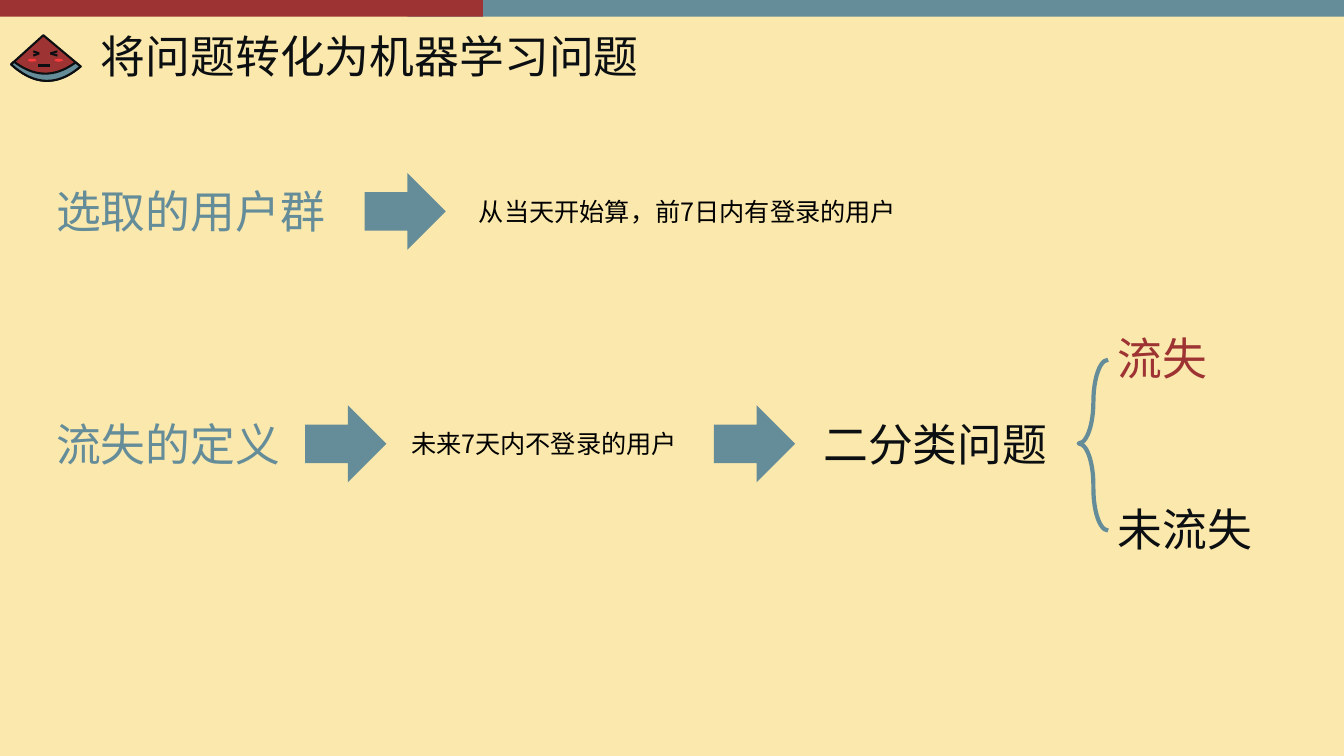
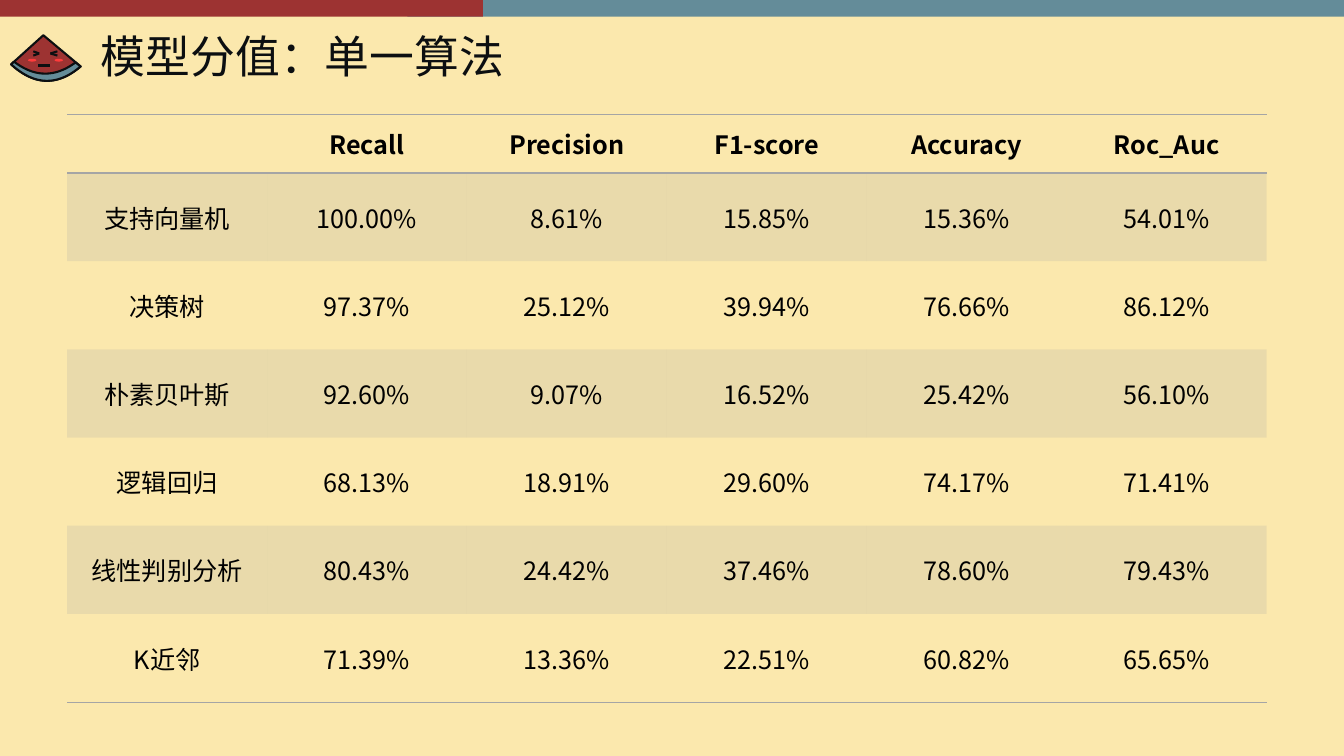
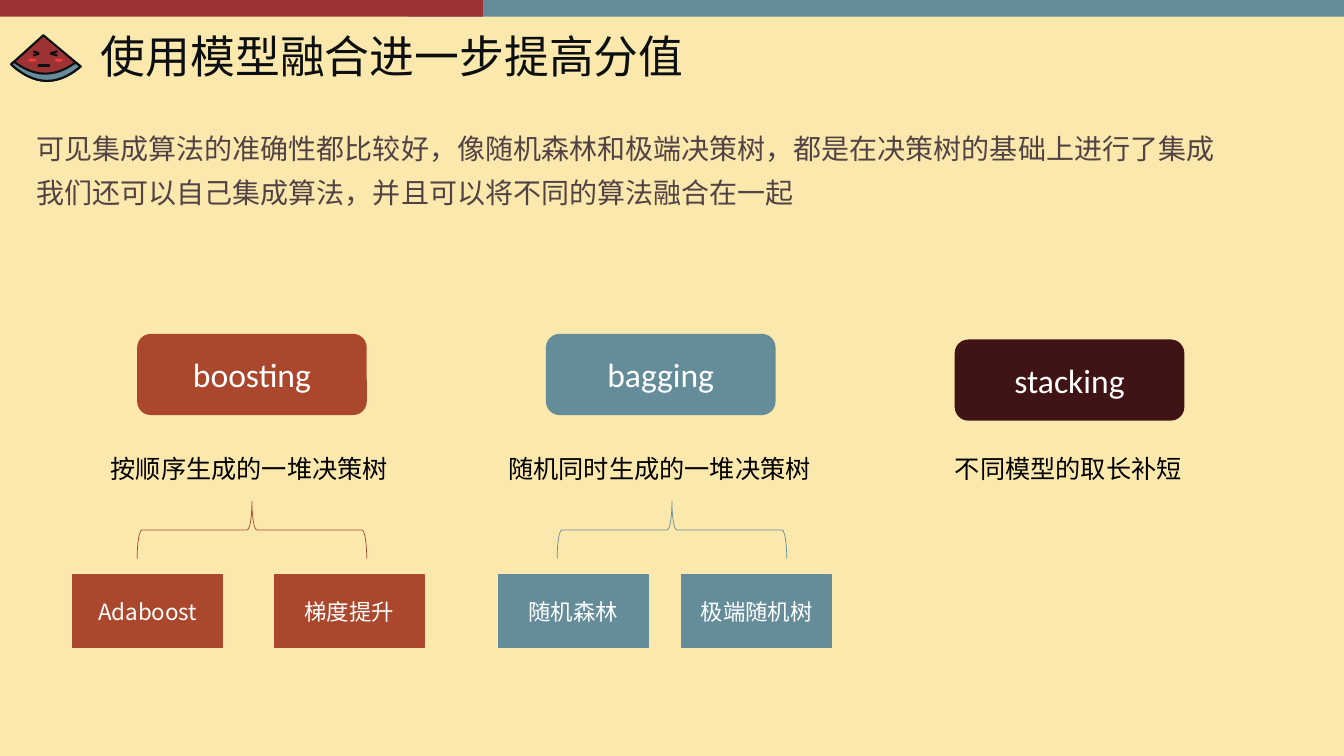
import pptx
import pptx.dml.color
import pptx.enum.shapes
import pptx.enum.text
import pptx.oxml.ns
import pptx.util
from lxml import etree

Pt = pptx.util.Pt
qn = pptx.oxml.ns.qn
SHAPES = pptx.enum.shapes.MSO_SHAPE
ALIGN = pptx.enum.text.PP_ALIGN
ANCHOR = pptx.enum.text.MSO_ANCHOR
AUTO_SIZE = pptx.enum.text.MSO_AUTO_SIZE

COLORS = {
    "background": "FBE8AD", "red": "9D3332", "blue": "648C99", "ink": "0C0F11",
    "cheek": "FF3B3B", "black": "000000", "white": "FFFFFF", "body": "514345",
    "rust": "AA472C", "maroon": "401414", "gray": "A5A5A5",
}
CJK_FONT = "Noto Sans CJK SC"
LATIN_FONT = "Calibri"
NO_STYLE_NO_GRID = "{2D5ABB26-0587-4C30-8999-92F81FD0307C}"
BIG_HEIGHT, SMALL_HEIGHT = 46, 29


def rgb(name):
    return pptx.dml.color.RGBColor.from_string(COLORS[name])


def sagging_curve(start, end, depth, steps=24):
    """Points of a parabola from start to end that hangs depth below its chord."""
    points = []
    for step in range(steps + 1):
        t = step / steps
        x = start[0] + (end[0] - start[0]) * t
        y = start[1] + (end[1] - start[1]) * t + 4 * depth * t * (1 - t)
        points.append((x, y))
    return points


class Deck:
    def __init__(self):
        self.presentation = pptx.Presentation()
        self.presentation.slide_width = Pt(960)
        self.presentation.slide_height = Pt(540)
        fill = self.presentation.slide_master.background.fill
        fill.solid()
        fill.fore_color.rgb = rgb("background")
        self.slide = None

    def new_slide(self, title):
        self.slide = self.presentation.slides.add_slide(self.presentation.slide_layouts[6])
        self.shape(SHAPES.RECTANGLE, 291, 0, 669, 12, fill="blue")
        self.shape(SHAPES.RECTANGLE, 0, 0, 345, 12, fill="red")
        self.watermelon()
        self.text([title], 65, 12, 895, 60, size=32, color="ink", grow=False,
                  anchor=ANCHOR.MIDDLE, line_spacing=0.9)

    def watermelon(self):
        rind = sagging_curve((57.6, 47.5), (8, 46), 11)
        flesh = sagging_curve((10, 44), (54, 44.6), 8.3)
        self.outline([(31, 25.2)] + rind, "red")
        self.outline(flesh + rind, "blue")
        for x in (20, 39):
            self.shape(SHAPES.OVAL, x, 42, 6, 2, fill="cheek")
        self.line(27.5, 46.8, 36, 46.8)
        for outer, inner in ((23.8, 28), (41, 36)):
            for y in (36.7, 39.7):
                self.line(outer, y, inner, 38.2)

    def finish(self, shape, fill=None, line=None, width=1.0):
        shape.shadow.inherit = False
        if fill:
            shape.fill.solid()
            shape.fill.fore_color.rgb = rgb(fill)
        else:
            shape.fill.background()
        if line:
            shape.line.color.rgb = rgb(line)
            shape.line.width = Pt(width)
        else:
            shape.line.fill.background()

    def outline(self, points, fill):
        scaled = [(Pt(x), Pt(y)) for x, y in points]
        builder = self.slide.shapes.build_freeform(*scaled[0])
        builder.add_line_segments(scaled[1:], close=True)
        self.finish(builder.convert_to_shape(), fill, "ink", 1.5)

    def line(self, x1, y1, x2, y2):
        connector = self.slide.shapes.add_connector(
            pptx.enum.shapes.MSO_CONNECTOR.STRAIGHT, Pt(x1), Pt(y1), Pt(x2), Pt(y2))
        connector.line.color.rgb = rgb("ink")
        connector.line.width = Pt(1.5)
        etree.SubElement(connector._element.spPr, qn("a:effectLst"))

    def shape(self, kind, left, top, width, height, fill=None, line=None, line_width=1.0):
        shape = self.slide.shapes.add_shape(kind, Pt(left), Pt(top), Pt(width), Pt(height))
        self.finish(shape, fill, line, line_width)
        return shape

    def box(self, kind, label, left, top, width, height, fill, size, line=None, font=CJK_FONT):
        shape = self.shape(kind, left, top, width, height, fill, line)
        shape.text_frame.vertical_anchor = ANCHOR.MIDDLE
        self.add_words(shape.text_frame.paragraphs[0], label, size, "white", font,
                       alignment=ALIGN.CENTER)

    def arrow(self, left, middle):
        self.shape(SHAPES.RIGHT_ARROW, left, middle - 27.5, 58, 55, fill="blue")

    def add_words(self, paragraph, text, size, color, font=CJK_FONT, bold=False,
                  **paragraph_format):
        for name, value in paragraph_format.items():
            setattr(paragraph, name, value)
        run = paragraph.add_run()
        run.text = text
        for name, value in {"size": Pt(size), "name": font, "bold": bold}.items():
            setattr(run.font, name, value)
        run.font.color.rgb = rgb(color)
        etree.SubElement(run.font._element, qn("a:ea"), typeface=font)

    def text(self, lines, left, top, width, height, size, color, grow=True,
             anchor=ANCHOR.TOP, gap=0, line_spacing=None):
        box = self.slide.shapes.add_textbox(Pt(left), Pt(top), Pt(width), Pt(height))
        frame = box.text_frame
        frame_format = {
            "word_wrap": True, "vertical_anchor": anchor,
            "auto_size": AUTO_SIZE.SHAPE_TO_FIT_TEXT if grow else AUTO_SIZE.NONE,
        }
        for name, value in frame_format.items():
            setattr(frame, name, value)
        for index, line in enumerate(lines):
            paragraph = frame.add_paragraph() if index else frame.paragraphs[0]
            if index and gap:
                paragraph.space_before = Pt(gap)
            self.add_words(paragraph, line, size, color, line_spacing=line_spacing)

    def heading(self, text, left, middle, width, color):
        self.text([text], left, middle - BIG_HEIGHT / 2, width, BIG_HEIGHT, 32, color)

    def detail(self, text, left, middle, width):
        self.text([text], left, middle - SMALL_HEIGHT / 2, width, SMALL_HEIGHT, 18, "black")

    def table(self, rows, left, top, column_width, header_height, row_height):
        count, columns = len(rows), len(rows[0])
        frame = self.slide.shapes.add_table(
            count, columns, Pt(left), Pt(top), Pt(column_width * columns),
            Pt(header_height + row_height * (count - 1)))
        table = frame.table
        table.first_row = table.horz_banding = False
        table._tbl.tblPr.find(qn("a:tableStyleId")).text = NO_STYLE_NO_GRID
        for column in table.columns:
            column.width = Pt(column_width)
        for row_index, values in enumerate(rows):
            table.rows[row_index].height = Pt(row_height if row_index else header_height)
            for column_index, value in enumerate(values):
                cell = table.cell(row_index, column_index)
                cell.vertical_anchor = ANCHOR.MIDDLE
                if value:
                    self.add_words(cell.text_frame.paragraphs[0], value, 18, "black",
                                   bold=row_index == 0, alignment=ALIGN.CENTER)
                self.shade(cell, row_index % 2 == 1)
                if row_index in (0, count - 1):
                    self.border(cell, "a:lnB")
                if row_index == 0:
                    self.border(cell, "a:lnT")

    def shade(self, cell, banded):
        if not banded:
            cell.fill.background()
            return
        cell.fill.solid()
        cell.fill.fore_color.rgb = rgb("gray")
        color = cell._tc.tcPr.find(".//" + qn("a:srgbClr"))
        etree.SubElement(color, qn("a:alpha"), val="20000")

    def border(self, cell, side):
        """Put a thin gray line on one side; call for the bottom before the top."""
        line = etree.Element(qn(side), w=str(Pt(1)))
        fill = etree.SubElement(line, qn("a:solidFill"))
        etree.SubElement(fill, qn("a:srgbClr"), val=COLORS["gray"])
        cell._tc.get_or_add_tcPr().insert(0, line)


def problem_slide(deck):
    deck.new_slide("将问题转化为机器学习问题")
    users, churn = 151, 317
    deck.heading("选取的用户群", 33, users, 252, "blue")
    deck.arrow(260.5, users)
    deck.detail("从当天开始算，前7日内有登录的用户", 335, users, 330)
    deck.heading("流失的定义", 33, churn, 197, "blue")
    deck.arrow(218, churn)
    deck.detail("未来7天内不登录的用户", 286.5, churn, 207)
    deck.arrow(510, churn)
    deck.heading("二分类问题", 581, churn, 197, "ink")
    half = 61
    brace = deck.shape(SHAPES.LEFT_BRACE, 770.5, churn + 1 - half, 21, 2 * half,
                       line="blue", line_width=3)
    brace.adjustments[0], brace.adjustments[1] = 1.45, 0.49
    deck.heading("流失", 791.5, churn - half, 167, "red")
    deck.heading("未流失", 791.5, churn + half, 167, "ink")


def scores_slide(deck):
    deck.new_slide("模型分值：单一算法")
    deck.table([
        ["", "Recall", "Precision", "F1-score", "Accuracy", "Roc_Auc"],
        ["支持向量机", "100.00%", "8.61%", "15.85%", "15.36%", "54.01%"],
        ["决策树", "97.37%", "25.12%", "39.94%", "76.66%", "86.12%"],
        ["朴素贝叶斯", "92.60%", "9.07%", "16.52%", "25.42%", "56.10%"],
        ["逻辑回归", "68.13%", "18.91%", "29.60%", "74.17%", "71.41%"],
        ["线性判别分析", "80.43%", "24.42%", "37.46%", "78.60%", "79.43%"],
        ["K近邻", "71.39%", "13.36%", "22.51%", "60.82%", "65.65%"],
    ], left=48, top=82, column_width=142.8, header_height=41.6, row_height=63)


def ensemble_slide(deck):
    deck.new_slide("使用模型融合进一步提高分值")
    deck.text([
        "可见集成算法的准确性都比较好，像随机森林和极端决策树，都是在决策树的基础上进行了集成",
        "我们还可以自己集成算法，并且可以将不同的算法融合在一起",
    ], 19, 93, 922, 83.5, size=20, color="body", grow=False, gap=10, line_spacing=0.9)

    methods = [
        ("boosting", "rust", 238.5, "按顺序生成的一堆决策树", 72),
        ("bagging", "blue", 238.5, "随机同时生成的一堆决策树", 356),
        ("stacking", "maroon", 242.5, "不同模型的取长补短", 675),
    ]
    for index, (name, color, top, caption, caption_left) in enumerate(methods):
        deck.box(SHAPES.ROUNDED_RECTANGLE, name, 98 + 292 * index, top, 164, 58, color, 24,
                 font=LATIN_FONT)
        deck.detail(caption, caption_left, 335, 248)

    examples = [
        ("rust", 180, [("Adaboost", 52), ("梯度提升", 196)]),
        ("blue", 480, [("随机森林", 356), ("极端随机树", 487)]),
    ]
    brace_width, brace_height = 41, 164
    for color, center, leaves in examples:
        brace = deck.shape(SHAPES.RIGHT_BRACE, center - brace_width / 2,
                           378.5 - brace_height / 2, brace_width, brace_height,
                           line=color, line_width=0.5)
        brace.rotation = 270
        for label, left in leaves:
            deck.box(SHAPES.RECTANGLE, label, left, 410.5, 107, 52, color, 16, line=color)


def main():
    deck = Deck()
    problem_slide(deck)
    scores_slide(deck)
    ensemble_slide(deck)
    deck.presentation.save("out.pptx")


if __name__ == "__main__":
    main()
